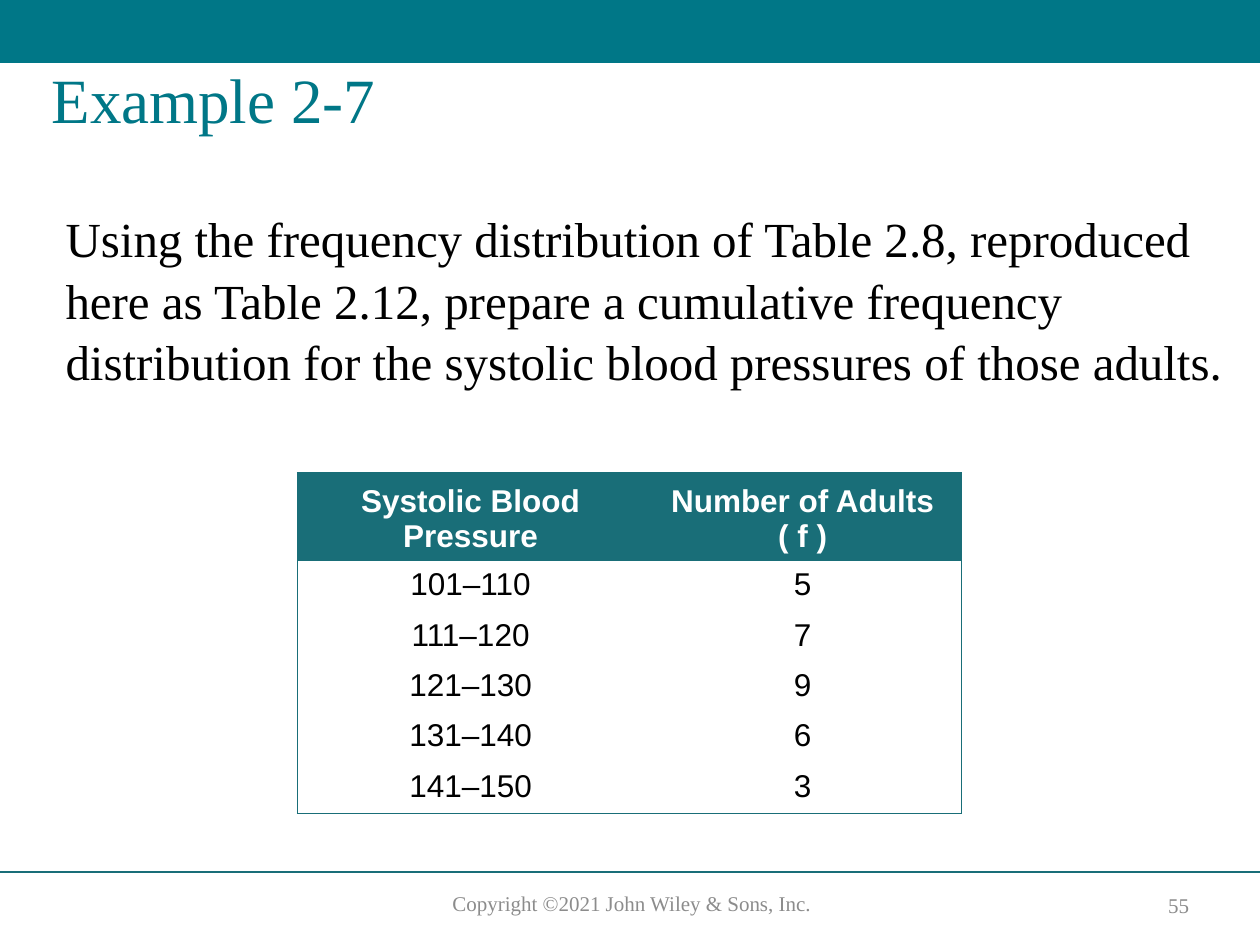
from dataclasses import dataclass

from lxml import etree
from pptx import Presentation
from pptx.dml.color import RGBColor
from pptx.enum import shapes, text
from pptx.oxml.ns import qn
from pptx.util import Inches, Pt


@dataclass(frozen=True)
class Theme:
    serif: str = "Times New Roman"
    sans: str = "Arial"
    teal: str = "007787"
    table_teal: str = "196E78"
    black: str = "000000"
    white: str = "FFFFFF"
    grey: str = "8C8C8C"
    title_size: int = 36
    body_size: int = 28
    table_size: int = 18
    footer_size: int = 12


THEME = Theme()
FREQUENCIES = [
    ("Systolic Blood Pressure", "Number of Adults ( f )"),
    ("101–110", "5"),
    ("111–120", "7"),
    ("121–130", "9"),
    ("131–140", "6"),
    ("141–150", "3"),
]


def write(frame, wording, font_name, size, color, align, anchor, bold=False):
    frame.text = wording
    frame.word_wrap = True
    frame.vertical_anchor = anchor
    paragraph = frame.paragraphs[0]
    paragraph.alignment = align
    for run in paragraph.runs:
        run.font.name = font_name
        run.font.size = Pt(size)
        run.font.bold = bold
        run.font.color.rgb = RGBColor.from_string(color)
    return paragraph


def place(part, box):
    part.left, part.top, part.width, part.height = map(Inches, box)


def add_banner(slide, box):
    banner = slide.shapes.add_shape(shapes.MSO_SHAPE.RECTANGLE, *map(Inches, box))
    banner.shadow.inherit = False
    banner.fill.solid()
    banner.fill.fore_color.rgb = RGBColor.from_string(THEME.teal)
    banner.line.fill.background()


def add_footer(slide, box):
    left, top, width, height = box
    rule = slide.shapes.add_connector(
        shapes.MSO_CONNECTOR.STRAIGHT,
        Inches(left), Inches(top), Inches(left + width), Inches(top),
    )
    rule.line.color.rgb = RGBColor.from_string(THEME.table_teal)
    rule.line.width = Pt(1)
    etree.SubElement(rule._element.spPr, qn("a:effectLst"))

    notes = [
        ("Copyright ©2021 John Wiley & Sons, Inc.",
         (left + 3.22, top + 0.1, 3.59, 0.3), text.MSO_ANCHOR.TOP),
        ("55", (left + 9.05, top + 0.12, 0.61, 0.28), text.MSO_ANCHOR.MIDDLE),
    ]
    for wording, note_box, anchor in notes:
        note = slide.shapes.add_textbox(*map(Inches, note_box))
        write(note.text_frame, wording, THEME.serif, THEME.footer_size,
              THEME.grey, text.PP_ALIGN.CENTER, anchor)


def add_title(slide, box):
    title = slide.shapes.title
    place(title, box)
    heading = write(title.text_frame, "Example 2-7", THEME.serif, THEME.title_size,
                    THEME.teal, text.PP_ALIGN.LEFT, text.MSO_ANCHOR.TOP)
    heading.line_spacing = 0.9
    title.text_frame.auto_size = text.MSO_AUTO_SIZE.NONE


def add_task(slide, box):
    task = slide.placeholders[1]
    place(task, box)
    wording = (
        "Using the frequency distribution of Table 2.8, reproduced here as "
        "Table 2.12, prepare a cumulative frequency distribution for the "
        "systolic blood pressures of those adults."
    )
    sentence = write(task.text_frame, wording, THEME.serif, THEME.body_size,
                     THEME.black, text.PP_ALIGN.LEFT, text.MSO_ANCHOR.TOP)
    sentence.line_spacing = 1.05
    sentence.space_before = Pt(0)
    properties = sentence._p.get_or_add_pPr()
    properties.set("marL", "0")
    properties.set("indent", "0")
    etree.SubElement(properties, qn("a:buNone"))
    task.text_frame.auto_size = text.MSO_AUTO_SIZE.NONE


def set_borders(cell, outer_sides):
    properties = cell._tc.get_or_add_tcPr()
    for side in "LRTB":
        border = etree.SubElement(properties, qn(f"a:ln{side}"), w=str(Pt(0.5)))
        if side in outer_sides:
            fill = etree.SubElement(border, qn("a:solidFill"))
            etree.SubElement(fill, qn("a:srgbClr"), val=THEME.table_teal)
        else:
            etree.SubElement(border, qn("a:noFill"))


def add_frequency_table(slide, box):
    frame = slide.shapes.add_table(len(FREQUENCIES), 2, *map(Inches, box))
    table = frame.table
    table.horz_banding = False
    table.columns[0].width = Inches(2.75)
    table.columns[1].width = Inches(box[2] - 2.75)
    last = len(FREQUENCIES) - 1
    for r, values in enumerate(FREQUENCIES):
        header = r == 0
        table.rows[r].height = Inches(0.66 if header else 0.38)
        for c, value in enumerate(values):
            cell = table.cell(r, c)
            outer = "LR"[c] + ("T" if header else "B" if r == last else "")
            set_borders(cell, outer)
            if header:
                cell.fill.solid()
                cell.fill.fore_color.rgb = RGBColor.from_string(THEME.table_teal)
            else:
                cell.fill.background()
            entry = write(cell.text_frame, value, THEME.sans, THEME.table_size,
                          THEME.white if header else THEME.black,
                          text.PP_ALIGN.CENTER, text.MSO_ANCHOR.TOP, bold=header)
            cell.vertical_anchor = (
                text.MSO_ANCHOR.BOTTOM if header else text.MSO_ANCHOR.TOP
            )
            if not header:
                entry.space_after = Pt(3)


def main():
    deck = Presentation()
    deck.slide_width, deck.slide_height = Inches(10), Inches(7.5)
    slide = deck.slides.add_slide(deck.slide_layouts[1])
    add_banner(slide, (0, 0, 10, 0.5))
    add_footer(slide, (0, 6.92, 10, 0.58))
    add_title(slide, (0.31, 0.5, 9.33, 1.25))
    add_task(slide, (0.42, 1.58, 9.42, 1.92))
    add_frequency_table(slide, (2.36, 3.75, 5.27, 2.56))
    deck.save("out.pptx")


if __name__ == "__main__":
    main()
